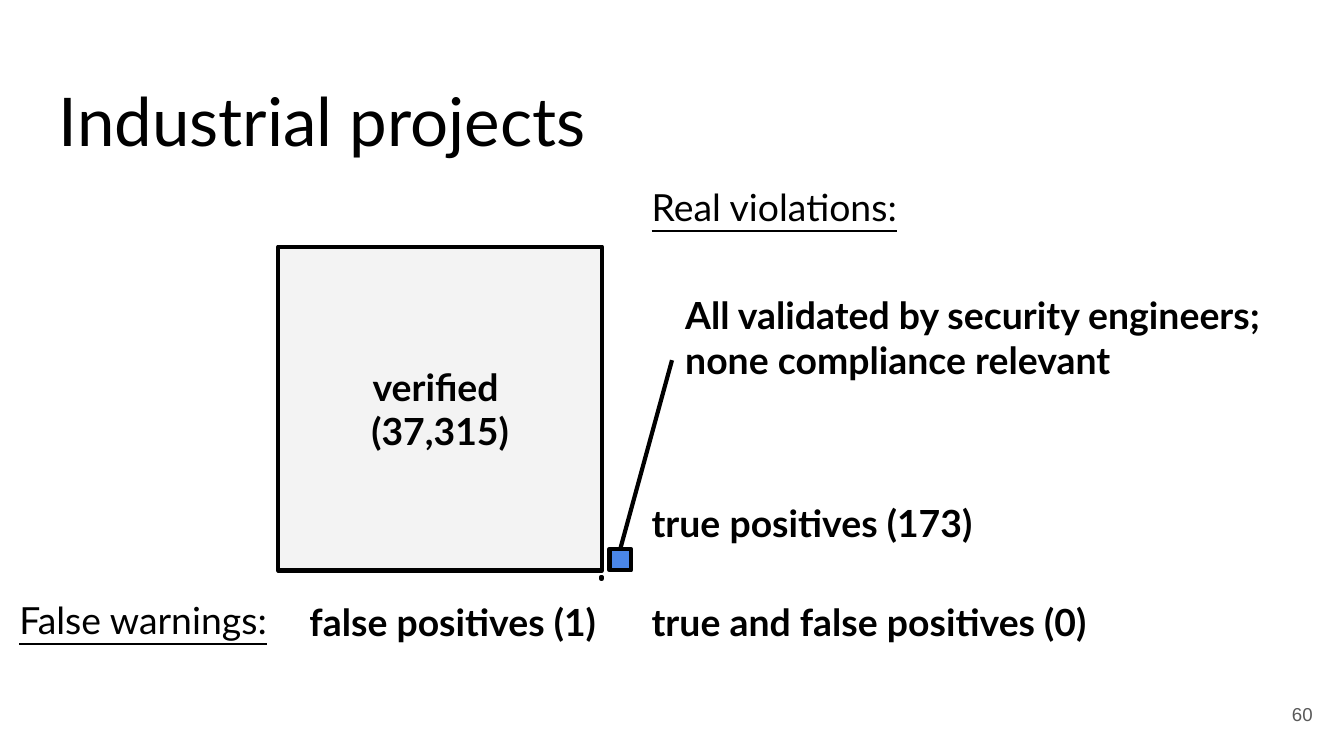
from lxml.etree import SubElement
from pptx import Presentation
from pptx.dml.color import RGBColor
from pptx.enum.shapes import MSO_CONNECTOR, MSO_SHAPE
from pptx.enum.text import MSO_ANCHOR, PP_ALIGN
from pptx.oxml.ns import qn
from pptx.util import Pt

PX = 4572
BLACK = RGBColor(0x00, 0x00, 0x00)
GRAY = RGBColor(0x59, 0x59, 0x59)
PALE = RGBColor(0xF3, 0xF3, 0xF3)
BLUE = RGBColor(0x4A, 0x86, 0xE8)
RED = RGBColor(0xFF, 0x00, 0x00)

SLIDE = (2000, 1125)
MARGIN = 20
SQUARES = [
    ((414, 367, 482), PALE, ["verified ", "(37,315)"]),
    ((907, 817, 32), BLUE, []),
    ((894, 859, 2), RED, []),
]
LABELS = [
    ("Industrial projects", (68, 98, 1864, 126), {"size": 36}),
    ("60", (1853, 1020, 120, 86),
     {"size": 10, "font": "Arial", "color": GRAY, "align": PP_ALIGN.RIGHT, "anchor": MSO_ANCHOR.MIDDLE}),
    ("False warnings:", (9, 869, 442, 62), {"underline": True}),
    ("false positives (1)", (415, 872, 492, 158), {"bold": True, "align": PP_ALIGN.RIGHT}),
    ("true positives (173)", (950, 724, 660, 158), {"bold": True}),
    ("true and false positives (0)", (950, 872, 990, 158), {"bold": True}),
    ("All validated by security engineers; none compliance relevant", (1000, 415, 978, 148), {"bold": True}),
    ("Real violations:", (950, 254, 442, 86), {"underline": True}),
]
POINTER = (1000, 536, 923, 817)


def scaled(lengths):
    return [length * PX for length in lengths]


def write(shape, lines, size=20, font="Lato", color=BLACK, bold=False, underline=False,
          align=PP_ALIGN.LEFT, anchor=MSO_ANCHOR.TOP):
    frame = shape.text_frame
    frame.word_wrap = True
    frame.vertical_anchor = anchor
    frame.margin_left = frame.margin_right = frame.margin_top = frame.margin_bottom = MARGIN * PX
    for index, line in enumerate(lines):
        para = frame.add_paragraph() if index else frame.paragraphs[0]
        para.alignment = align
        span = para.add_run()
        span.text = line
        span.font.size = Pt(size)
        span.font.name = font
        span.font.color.rgb = color
        span.font.bold = bold
        span.font.underline = underline


def outline(shape):
    shape.line.color.rgb = BLACK
    shape.line.width = Pt(2.25)
    SubElement(shape.line._get_or_add_ln(), qn("a:round"))


def main():
    deck = Presentation()
    deck.slide_width, deck.slide_height = scaled(SLIDE)
    page = deck.slides.add_slide(deck.slide_layouts[6])

    for (left, top, side), fill, lines in SQUARES:
        square = page.shapes.add_shape(MSO_SHAPE.RECTANGLE, *scaled((left, top, side, side)))
        square.shadow.inherit = False
        square.fill.solid()
        square.fill.fore_color.rgb = fill
        outline(square)
        write(square, lines, bold=True, align=PP_ALIGN.CENTER, anchor=MSO_ANCHOR.MIDDLE)

    for text, place, style in LABELS:
        write(page.shapes.add_textbox(*scaled(place)), [text], **style)

    pointer = page.shapes.add_connector(MSO_CONNECTOR.STRAIGHT, *scaled(POINTER))
    outline(pointer)
    SubElement(pointer._element.spPr, qn("a:effectLst"))

    deck.save("out.pptx")


if __name__ == "__main__":
    main()
